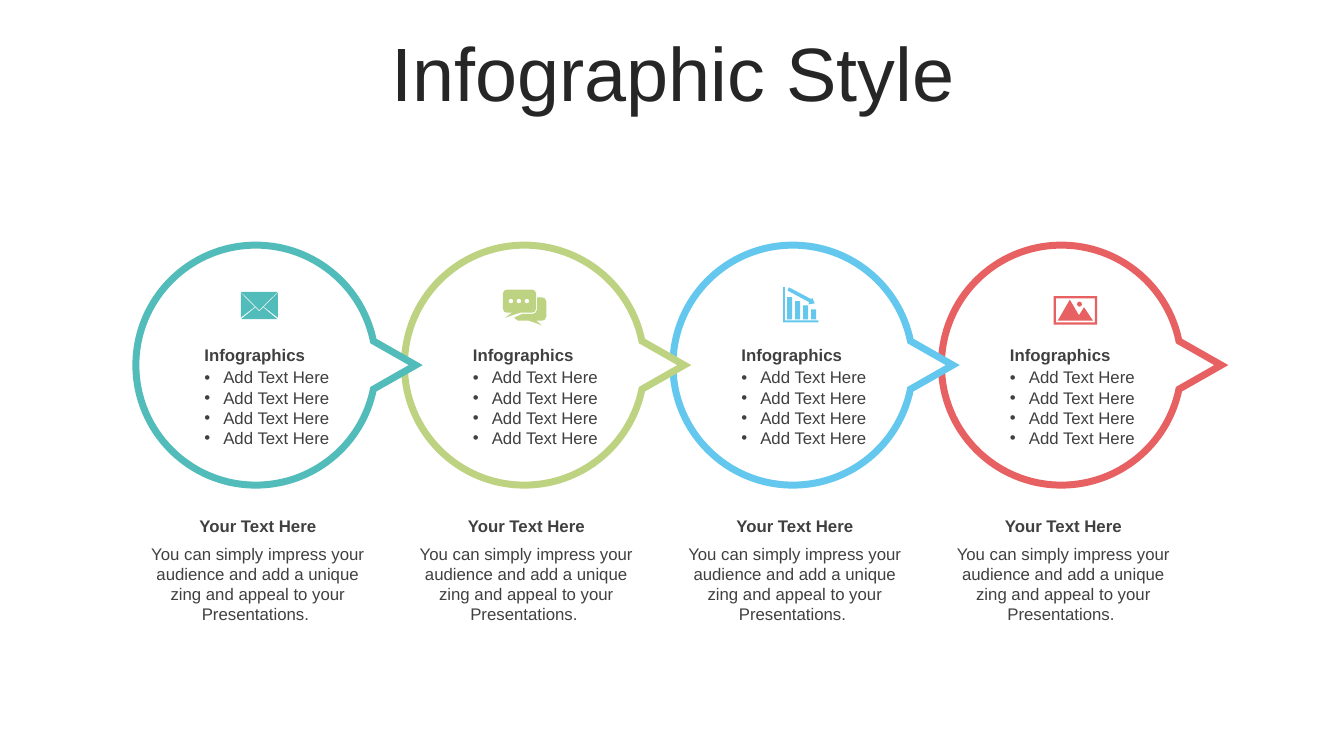
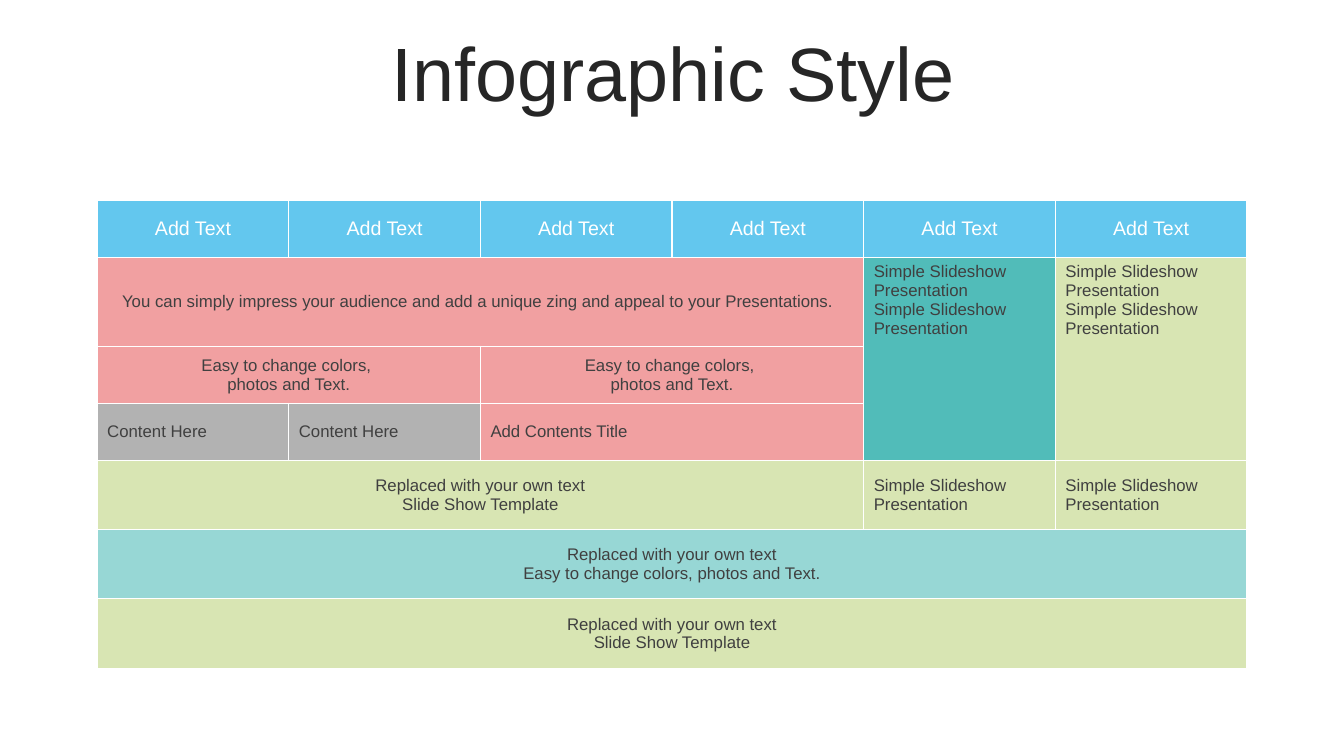
from dataclasses import dataclass
from itertools import pairwise
from math import asin, cos, degrees, radians, sin, tan

from lxml import etree
from pptx import Presentation
from pptx.dml.color import RGBColor
from pptx.enum import text as t
from pptx.oxml import ns
from pptx.util import Pt


@dataclass(frozen=True)
class Theme:
    font: str = "Arial"
    title_size: int = 54
    head_size: int = 14
    body_size: int = 12
    title: str = "262626"
    body: str = "404040"
    white: str = "FFFFFF"
    teal: str = "51BCB9"
    green: str = "BED381"
    blue: str = "63C7EE"
    red: str = "E86162"
    pale_teal: str = "97D7D5"
    pale_green: str = "D8E5B3"
    pale_red: str = "F1A0A1"
    grey: str = "B2B2B2"


TH = Theme()
LEFT, CENTER = t.PP_ALIGN.LEFT, t.PP_ALIGN.CENTER
TOP, MIDDLE = t.MSO_ANCHOR.TOP, t.MSO_ANCHOR.MIDDLE


def rgb(value):
    return RGBColor.from_string(value)


def sub(parent, tag, **attrs):
    return etree.SubElement(parent, ns.qn(tag), attrs)


def arc(cx, cy, r, *angles):
    """A start point, then one Bézier (two controls, end) per pair of angles."""
    rads = [radians(a) for a in angles]
    items = [(cx + r * cos(rads[0]), cy + r * sin(rads[0]))]
    for a, b in pairwise(rads):
        k = 4 / 3 * tan((b - a) / 4)
        items.append((cx + r * (cos(a) - k * sin(a)), cy + r * (sin(a) + k * cos(a)),
                      cx + r * (cos(b) + k * sin(b)), cy + r * (sin(b) - k * cos(b)),
                      cx + r * cos(b), cy + r * sin(b)))
    return items


def circle(cx, cy, r):
    return arc(cx, cy, r, 0, 90, 180, 270, 360)


def rect(x, y, w, h):
    return [(x, y), (x + w, y), (x + w, y + h), (x, y + h)]


class Deck:
    def __init__(self, theme):
        self.theme = theme
        self.prs = Presentation()
        self.prs.slide_width, self.prs.slide_height = Pt(960), Pt(540)
        self.s = None

    def slide(self, title):
        self.s = self.prs.slides.add_slide(self.prs.slide_layouts[6])
        th = self.theme
        tf = self.text(25.2, 26.6, 911.5, 57, title, align=CENTER, anchor=MIDDLE,
                       size=th.title_size, color=th.title)
        tf.paragraphs[0].line_spacing = 0.9

    def format(self, tf, align, size, color, bold=False):
        for p in tf.paragraphs:
            p.alignment = align
            for r in p.runs:
                r.font.name = self.theme.font
                r.font.size = Pt(size)
                r.font.bold = bold
                r.font.color.rgb = rgb(color)

    def text(self, x, y, w, h, content, align=LEFT, anchor=TOP, size=None,
             color=None, bold=False, inset=7.2):
        tf = self.s.shapes.add_textbox(Pt(x), Pt(y), Pt(w), Pt(h)).text_frame
        tf.word_wrap = True
        tf.vertical_anchor = anchor
        tf.margin_left = Pt(inset)
        tf.text = content
        self.format(tf, align, size or self.theme.body_size,
                    color or self.theme.body, bold)
        return tf

    def bullets(self, x, y, w, h, items, inset, indent=13.5):
        tf = self.text(x, y, w, h, "\n".join(items), anchor=MIDDLE, inset=inset)
        for p in tf.paragraphs:
            pPr = p._p.get_or_add_pPr()
            pPr.set("marL", str(Pt(indent)))
            pPr.set("indent", str(-Pt(indent)))
            sub(pPr, "a:buFont", typeface=self.theme.font)
            sub(pPr, "a:buChar", char="•")

    def outline(self, x, y, contours, fill, line=None, width=5):
        """One freeform; contours hold points and Béziers relative to (x, y)."""
        emu = [[[Pt(v) for v in item] for item in c] for c in contours]
        ends = [[item[-2:] for item in c] for c in emu]
        fb = self.s.shapes.build_freeform(*ends[0][0])
        for i, pts in enumerate(ends):
            if i:
                fb.move_to(*pts[0])
            fb.add_line_segments(pts[1:], close=True)
        sp = fb.convert_to_shape(Pt(x), Pt(y))
        left, top = (min(pt[axis] for c in ends for pt in c) for axis in (0, 1))
        self.bend(sp, [item for c in emu for item in c[1:]], left, top)
        sp.shadow.inherit = False
        sp.fill.solid()
        sp.fill.fore_color.rgb = rgb(fill)
        if line:
            sp.line.color.rgb = rgb(line)
            sp.line.width = Pt(width)
            sub(sp.line._get_or_add_ln(), "a:miter", lim="800000")
        else:
            sp.line.fill.background()

    def bend(self, sp, items, left, top):
        """Turn the straight segments that stand for Béziers into curves."""
        segments = list(sp._element.iter(ns.qn("a:lnTo")))
        for item, segment in zip(items, segments):
            if len(item) == 6:
                curve = etree.Element(ns.qn("a:cubicBezTo"))
                for px, py in zip(item[::2], item[1::2]):
                    sub(curve, "a:pt", x=str(px - left), y=str(py - top))
                segment.getparent().replace(segment, curve)

    def border(self, cell):
        tcPr = cell._tc.get_or_add_tcPr()
        for side in ("a:lnL", "a:lnR", "a:lnT", "a:lnB"):
            ln = sub(tcPr, side, w=str(Pt(1)))
            sub(sub(ln, "a:solidFill"), "a:srgbClr", val=self.theme.white)

    def table(self, x, y, col_width, heights, cols):
        tbl = self.s.shapes.add_table(len(heights), cols, Pt(x), Pt(y),
                                      Pt(col_width * cols), Pt(sum(heights))).table
        tbl.first_row = tbl.horz_banding = False
        for col in tbl.columns:
            col.width = Pt(col_width)
        for row, height in zip(tbl.rows, heights):
            row.height = Pt(height)
        for cell in tbl.iter_cells():
            self.border(cell)
        return tbl

    def cell(self, tbl, row, col, content, fill, span=(1, 1), align=CENTER,
             anchor=MIDDLE, size=None, color=None):
        c = tbl.cell(row, col)
        if span != (1, 1):
            c.merge(tbl.cell(row + span[0] - 1, col + span[1] - 1))
        c.fill.solid()
        c.fill.fore_color.rgb = rgb(fill)
        c.vertical_anchor = anchor
        c.text = content
        self.format(c.text_frame, align, size or self.theme.body_size,
                    color or self.theme.body)


ENVELOPE = [
    [(0, 0), (26.4, 0), (13.2, 13)],
    [(0, 0.7), (10, 10.7), (0, 18.4)],
    [(26.4, 0.7), (26.4, 18.4), (16.4, 10.7)],
    [(10.4, 11.1), (13.2, 13.9), (16, 11.1), (26.2, 19.5), (0.2, 19.5)],
]
CHAT = [
    arc(3, 3, 3, 180, 270) + arc(20.8, 3, 3, 270, 360) + arc(20.8, 13.6, 3, 0, 90)
    + [(12.2, 16.6), (1.4, 20.2), (6.5, 16.6)] + arc(3, 13.6, 3, 90, 180),
    [(24.5, 5.6)] + arc(28, 8.6, 3, 270, 360) + arc(28, 19.3, 3, 0, 90)
    + [(23.8, 22.3), (28, 25.6), (18.7, 22.3), (10.8, 22.3), (8, 20.2), (13.7, 17.5)]
    + arc(21, 14, 3.5, 90, 0),
] + [circle(cx, 8.3, 1.7) for cx in (5.8, 11.5, 17.2)]
FALLING_CHART = [
    [(0, 0), (1.4, 0), (1.4, 23.8), (25.2, 23.8), (25.2, 25.2), (0, 25.2)],
    [(4.3, 0.2), (20.2, 8.6), (20.9, 7.7), (22.7, 11.6), (18, 12.3), (18.9, 10.9),
     (3.2, 2.4)],
] + [rect(2.9 + 5.75 * i, 7.2 + 2.9 * i, 3.6, 15.8 - 2.9 * i) for i in range(4)]
PHOTO = [
    rect(0, 0, 31, 20.4),
    rect(1.6, 1.6, 27.8, 17.2),
    [(11.5, 2.6), (18, 13.7), (21.6, 8), (28, 17.5), (2.9, 17.5)],
    circle(18.4, 5.8, 1.8),
]

# colour, icon, icon offset from the circle centre
STEPS = [
    (TH.teal, ENVELOPE, (-10.8, -52.3)),
    (TH.green, CHAT, (-15.4, -54)),
    (TH.blue, FALLING_CHART, (-7.1, -55.7)),
    (TH.red, PHOTO, (-5.5, -49.3)),
]
FIRST_X, CENTER_Y, PITCH = 182.8, 260.8, 191.8
RADIUS, TIP, NOTCH = 85.7, 114.2, 17.2


def steps_slide(d):
    d.slide("Infographic Style")
    notch = degrees(asin(NOTCH / RADIUS))
    callout = arc(0, 0, RADIUS, notch, 90, 180, 270, 360 - notch) + [(TIP, 0)]
    columns = [(FIRST_X + PITCH * i, *step) for i, step in enumerate(STEPS)]
    # right to left, so that each tip overlaps the next circle
    for x, color, _, _ in reversed(columns):
        d.outline(x, CENTER_Y, [callout], TH.white, line=color)
        d.text(x - 51.2, 242.6, 121.7, 21.6, "Infographics", anchor=MIDDLE,
               bold=True, inset=14.4)
        d.bullets(x - 51.2, 258.3, 121.7, 65.5, ["Add Text Here"] * 4, inset=14.4)
    for x, color, icon, (dx, dy) in columns:
        d.text(x - 85, 365, 172.8, 21.6, "Your Text Here", align=CENTER, bold=True)
        d.text(x - 85, 384.6, 172.8, 65.5,
               "You can simply impress your audience and add a unique zing "
               "and appeal to your Presentations. ", align=CENTER)
        d.outline(x + dx, CENTER_Y + dy, icon, color)


def table_slide(d):
    d.slide("Infographic Style")
    tbl = d.table(69.4, 143.4, 136.9, [40.5, 63.5, 40.8, 40.8, 49.4, 49.3, 50], 6)
    deck_name = "Simple Slideshow Presentation"
    template = "Replaced with your own text\nSlide Show Template"
    easy = "Easy to change colors, \nphotos and Text."
    for col in range(6):
        d.cell(tbl, 0, col, "Add Text", TH.blue, size=TH.head_size, color=TH.white)
    d.cell(tbl, 1, 0, "You can simply impress your audience and add a unique zing "
           "and appeal to your Presentations. ", TH.pale_red, (1, 4))
    for col, fill in ((4, TH.teal), (5, TH.pale_green)):
        d.cell(tbl, 1, col, f"{deck_name}\n{deck_name}", fill, (3, 1), LEFT, TOP)
        d.cell(tbl, 4, col, deck_name, TH.pale_green, align=LEFT)
    for col in (0, 2):
        d.cell(tbl, 2, col, easy, TH.pale_red, (1, 2))
    for col in (0, 1):
        d.cell(tbl, 3, col, "Content Here", TH.grey, align=LEFT)
    d.cell(tbl, 3, 2, "Add Contents Title", TH.pale_red, (1, 2), LEFT)
    d.cell(tbl, 4, 0, template, TH.pale_green, (1, 4))
    d.cell(tbl, 5, 0, "Replaced with your own text\n"
           "Easy to change colors, photos and Text.", TH.pale_teal, (1, 6))
    d.cell(tbl, 6, 0, template, TH.pale_green, (1, 6))


def main():
    d = Deck(TH)
    steps_slide(d)
    table_slide(d)
    d.prs.save("out.pptx")


if __name__ == "__main__":
    main()
